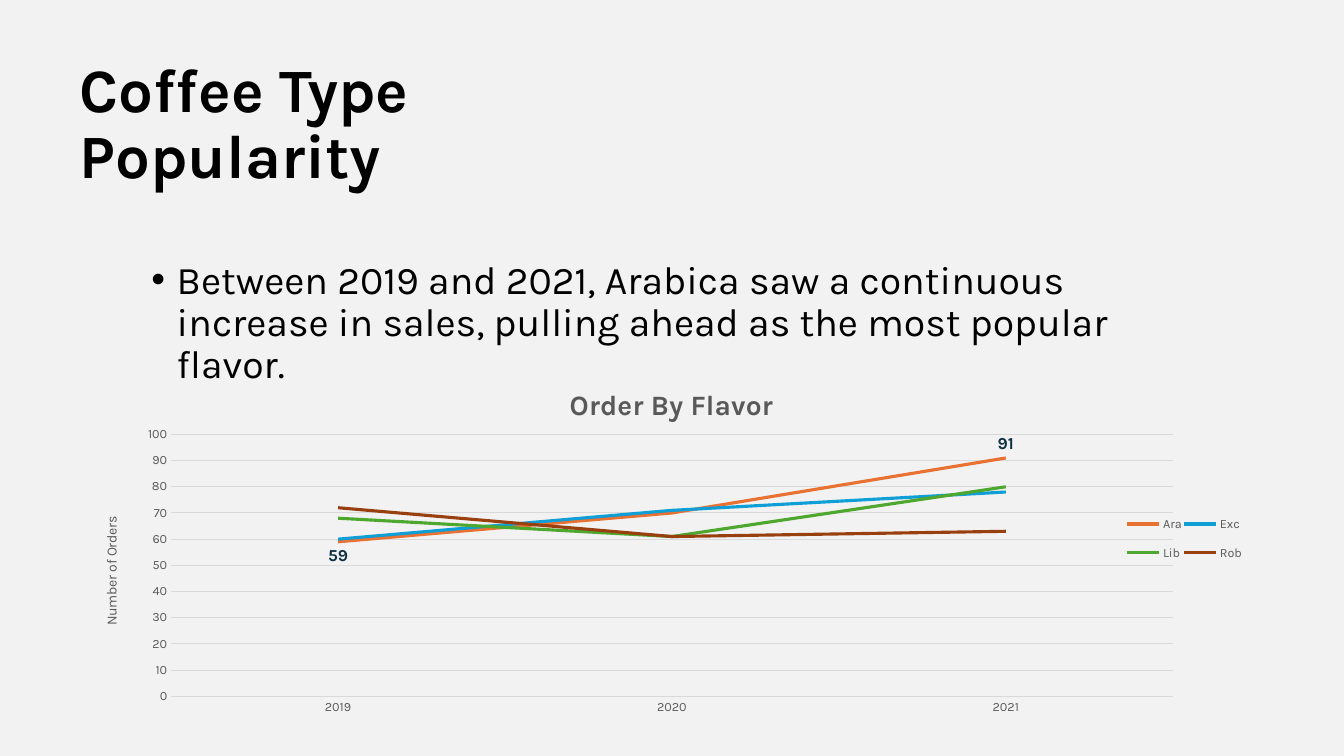
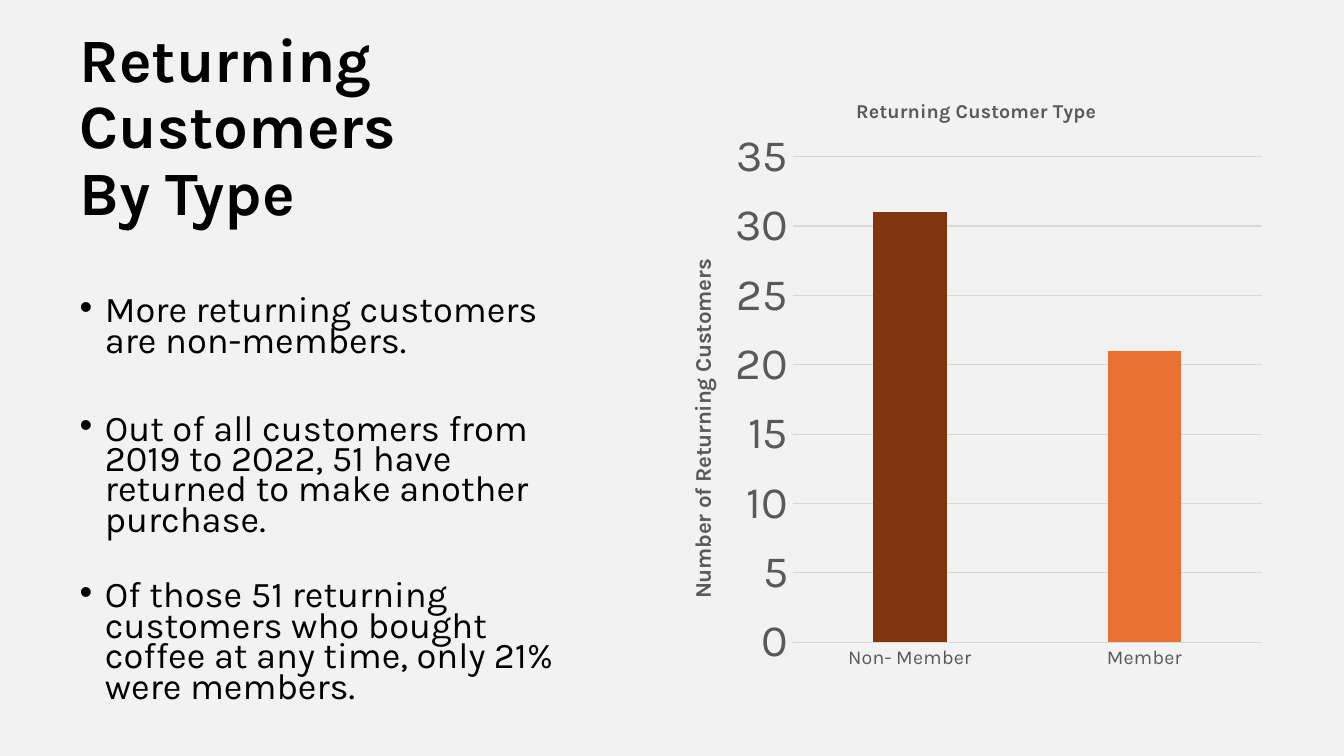
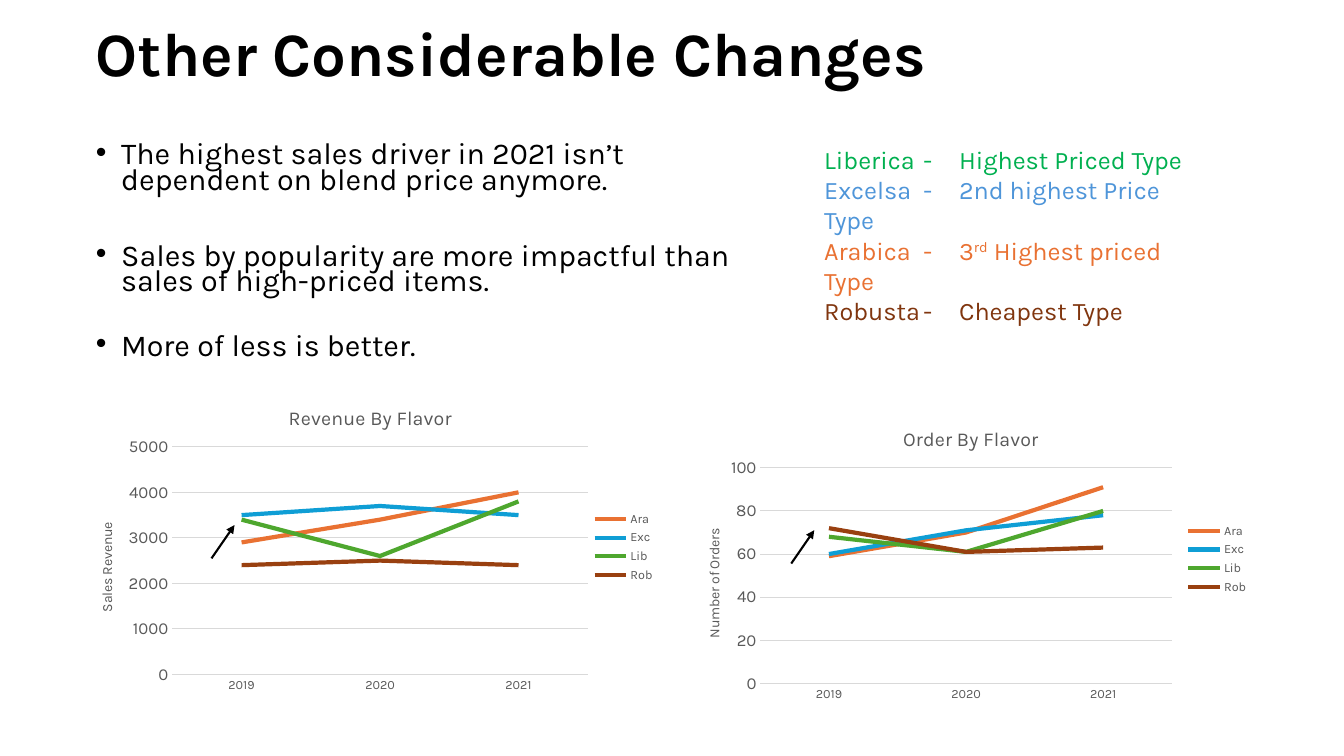
from lxml.etree import SubElement
from pptx import Presentation
from pptx.chart.data import CategoryChartData as Data
from pptx.dml.color import RGBColor as Rgb
from pptx.enum.chart import XL_CHART_TYPE as Kind, XL_LABEL_POSITION as Spot
from pptx.enum.chart import XL_LEGEND_POSITION as Side, XL_TICK_MARK as Tick
from pptx.enum.shapes import MSO_CONNECTOR as Link
from pptx.enum.text import MSO_ANCHOR as Anchor, MSO_AUTO_SIZE as Fit, PP_ALIGN as Align
from pptx.oxml.ns import qn
from pptx.util import Cm, Pt

FONT = "Karla"
HUE = {
    "black": "000000", "pale": "F2F2F2", "white": "FFFFFF",
    "gray": "595959", "grid": "D9D9D9", "navy": "0B3041",
    "orange": "E97132", "blue": "0F9ED5", "leaf": "4EA72E", "rust": "994010",
    "green": "00B050", "sky": "4E95D9", "brown": "80350E",
}


def style(font, size, hue, bold=False):
    font.name = FONT
    font.size = Pt(size)
    font.bold = bold
    font.color.rgb = Rgb.from_string(HUE[hue])


def place(node, box, inner=False):
    lay = node.find(qn("c:layout"))
    if lay is None:
        lay = SubElement(node, qn("c:layout"))
        node.insert(0 if inner else 1, lay)
    spot = SubElement(lay, qn("c:manualLayout"))
    if inner:
        SubElement(spot, qn("c:layoutTarget")).set("val", "inner")
    for key in ("xMode", "yMode"):
        SubElement(spot, qn("c:" + key)).set("val", "edge")
    for key, part in zip("xywh", box):
        SubElement(spot, qn("c:" + key)).set("val", str(part))


deck = Presentation()
deck.slide_width, deck.slide_height = Cm(33.87), Cm(19.05)

pages = [
    dict(back="pale", title="Coffee Type\vPopularity", head=(1.75, 0.86, 13.39, 4.11),
         anchor=Anchor.BOTTOM, body=(3.56, 6.43, 26.77, 9.86), size=28, lead=0.9,
         items=[(10, "Between 2019 and 2021, Arabica saw a continuous increase in sales, "
                     "pulling ahead as the most popular flavor.")]),
    dict(back="pale", title="Returning Customers\vBy Type", head=(1.75, 1.78, 14.58, 4.11),
         anchor=Anchor.BOTTOM, body=(1.75, 7.39, 13.39, 9.86), size=25.9, lead=0.7,
         items=[(10, "More returning customers are non-members."),
                (41, "Out of all customers from 2019 to 2022, 51 have returned to make "
                     "another purchase."),
                (32, "Of those 51 returning customers who bought coffee at any time, "
                     "only 21% were members.")]),
    dict(back="white", title="Other Considerable Changes", head=(2.16, -0.41, 29.21, 3.68),
         anchor=Anchor.MIDDLE, body=(2.16, 3.51, 16.64, 5.66), size=21.7, lead=0.7,
         items=[(10, "The highest sales driver in 2021 isn’t dependent on blend price anymore."),
                (36, "Sales by popularity are more impactful than sales of high-priced items."),
                (28, "More of less is better.")]),
]

for page in pages:
    slide = deck.slides.add_slide(deck.slide_layouts[1])
    slide.background.fill.solid()
    slide.background.fill.fore_color.rgb = Rgb.from_string(HUE[page["back"]])
    title, body = slide.placeholders
    for shape, box in ((title, page["head"]), (body, page["body"])):
        shape.left, shape.top, shape.width, shape.height = map(Cm, box)
        shape.text_frame.word_wrap = True
        shape.text_frame.auto_size = Fit.NONE
    title.text_frame.vertical_anchor = page["anchor"]
    title.text_frame.text = page["title"]
    para = title.text_frame.paragraphs[0]
    para.alignment = Align.LEFT
    para.line_spacing = 0.9
    for run in para.runs:
        style(run.font, 44, "black", True)
    body.text_frame.text = "\n".join(text for gap, text in page["items"])
    for para, (gap, text) in zip(body.text_frame.paragraphs, page["items"]):
        para.line_spacing = page["lead"]
        para.space_before = Pt(gap)
        props = para._p.get_or_add_pPr()
        props.set("marL", str(Cm(0.64)))
        props.set("indent", str(-Cm(0.64)))
        style(para.runs[0].font, page["size"], "black")

years = ["2019", "2020", "2021"]
orders = {"Ara": (59, 70, 91), "Exc": (60, 71, 78), "Lib": (68, 61, 80), "Rob": (72, 61, 63)}
sales = {"Ara": (2900, 3400, 4000), "Exc": (3500, 3700, 3500),
         "Lib": (3400, 2600, 3800), "Rob": (2400, 2500, 2400)}
visits = {"Series 1": (31, 21)}
tints = ["orange", "blue", "leaf", "rust"]

charts = [
    dict(page=0, box=(1.91, 9.14, 30.05, 9.04), cats=years, rows=orders, width=2.25,
         title="Order By Flavor", head=(20, True), at=(0.41, 0.05),
         name="Number of Orders", side=(10, False), by=(0.02, 0.42),
         plot=(0.08, 0.2, 0.84, 0.73), top=100, step=10, sizes=(9, 9)),
    dict(page=1, box=(16.94, 1.78, 15.16, 15.49), cats=["Non- Member", "Member"], rows=visits,
         title="Returning Customer Type", head=(14, True), at=(0.3, 0.04),
         name="Number of Returning Customers", side=(16, True), by=(0.02, 0.3),
         plot=(0.2, 0.14, 0.78, 0.79), top=35, step=5, sizes=(14, 32)),
    dict(page=2, box=(1.8, 9.96, 14.96, 7.65), cats=years, rows=sales, width=3,
         title="Revenue By Flavor", head=(14, False), at=(0.36, 0.02),
         name="Sales Revenue", side=(10, False), by=(0.04, 0.41),
         plot=(0.17, 0.17, 0.7, 0.75), top=5000, step=1000, sizes=(9, 12)),
    dict(page=2, box=(17.12, 10.26, 14.6, 7.65), cats=years, rows=orders, width=3,
         title="Order By Flavor", head=(14, False), at=(0.38, 0.05),
         name="Number of Orders", side=(10, False), by=(0.04, 0.39),
         plot=(0.14, 0.2, 0.71, 0.71), top=100, step=20, sizes=(9, 12)),
]

graphs = []
for item in charts:
    lines = "width" in item
    data = Data()
    data.categories = item["cats"]
    for name, vals in item["rows"].items():
        data.add_series(name, vals)
    chart = deck.slides[item["page"]].shapes.add_chart(
        Kind.LINE if lines else Kind.COLUMN_CLUSTERED, *map(Cm, item["box"]), data).chart
    graphs.append(chart)
    style(chart.font, 10, "black")
    plot = chart.plots[0]
    plot.vary_by_categories = False
    place(chart._chartSpace.chart.plotArea, item["plot"], True)

    cat, val = chart.category_axis, chart.value_axis
    chart.has_title = val.has_title = True
    for label, text, look, spot in (
            (chart.chart_title, item["title"], item["head"], item["at"]),
            (val.axis_title, item["name"], item["side"], item["by"])):
        label.text_frame.text = text
        style(label.text_frame.paragraphs[0].runs[0].font, look[0], "gray", look[1])
        place(label._element, spot)
    val.axis_title.text_frame._txBody.bodyPr.set("rot", "-5400000")

    for axis, size in zip((cat, val), item["sizes"]):
        axis.major_tick_mark = axis.minor_tick_mark = Tick.NONE
        style(axis.tick_labels.font, size, "gray")
    val.minimum_scale, val.maximum_scale, val.major_unit = 0, item["top"], item["step"]
    val.format.line.fill.background()
    val.has_major_gridlines = True
    for line in (cat.format.line, val.major_gridlines.format.line):
        line.color.rgb = Rgb.from_string(HUE["grid"])
        line.width = Pt(0.75)

    chart.has_legend = lines
    if lines:
        chart.legend.position = Side.RIGHT
        chart.legend.include_in_layout = False
        style(chart.legend.font, 9, "gray")
        for row, tint in zip(plot.series, tints):
            row.smooth = False
            row.format.line.color.rgb = Rgb.from_string(HUE[tint])
            row.format.line.width = Pt(item["width"])
    else:
        plot.gap_width, plot.overlap = 219, -27
        for spot, tint in enumerate(("brown", "orange")):
            fill = plot.series[0].points[spot].format.fill
            fill.solid()
            fill.fore_color.rgb = Rgb.from_string(HUE[tint])

place(graphs[0].legend._element, (0.88, 0.39, 0.1, 0.2))
for spot, side in ((0, Spot.BELOW), (2, Spot.ABOVE)):
    label = graphs[0].plots[0].series[0].points[spot].data_label
    style(label.font, 12, "navy", True)
    label.position = side

last = deck.slides[2]
for left, top in ((5.33, 14.07), (19.94, 14.2)):
    arrow = last.shapes.add_connector(
        Link.STRAIGHT, Cm(left), Cm(top), Cm(left + 0.58), Cm(top - 0.84))
    arrow.line.color.rgb = Rgb.from_string(HUE["black"])
    arrow.line.width = Pt(1.5)
    SubElement(arrow.line._get_or_add_ln(), qn("a:tailEnd")).set("type", "triangle")
    SubElement(arrow._element.spPr, qn("a:effectLst"))

ranks = [
    ("green", ["Liberica\t-\tHighest Priced Type"]),
    ("sky", ["Excelsa\t-\t2nd highest Price Type"]),
    ("orange", ["Arabica\t-\t3", "rd", " Highest priced Type"]),
    ("brown", ["Robusta\t-\tCheapest Type"]),
]
frame = last.shapes.add_textbox(Cm(20.52), Cm(3.51), Cm(10.03), Cm(3.33)).text_frame
frame.word_wrap = True
for spot, (tint, parts) in enumerate(ranks):
    para = frame.add_paragraph() if spot else frame.paragraphs[0]
    stops = SubElement(para._p.get_or_add_pPr(), qn("a:tabLst"))
    for pos in (2.5, 3.4):
        stop = SubElement(stops, qn("a:tab"))
        stop.set("pos", str(Cm(pos)))
        stop.set("algn", "l")
    for part in parts:
        run = para.add_run()
        run.text = part
        style(run.font, 18, tint)
        if part == "rd":
            run._r.get_or_add_rPr().set("baseline", "30000")

deck.save("out.pptx")
